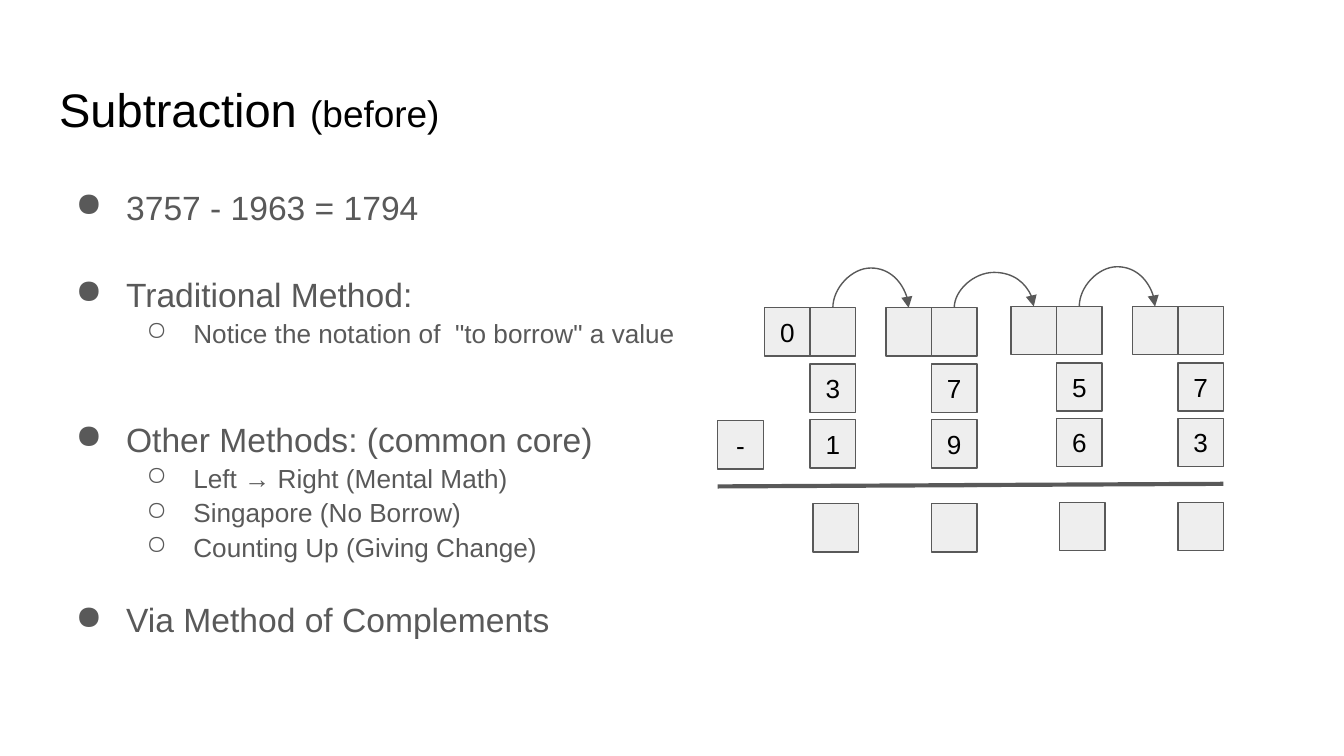
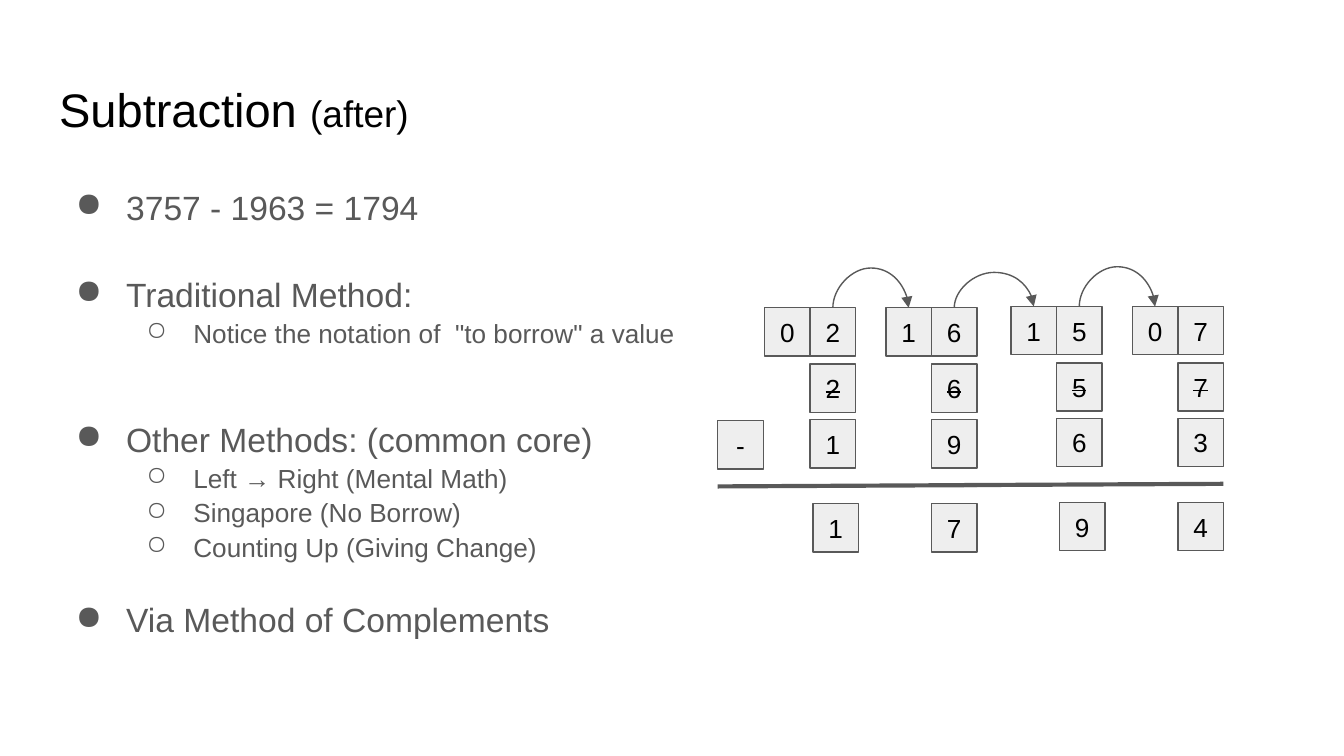
"""Build two slides showing column subtraction before and after borrowing."""
from dataclasses import dataclass
from typing import NamedTuple

import lxml.etree
import pptx
import pptx.dml.color
import pptx.enum.dml
import pptx.enum.shapes
import pptx.enum.text
import pptx.oxml.ns
import pptx.presentation
import pptx.shapes.autoshape
import pptx.shapes.connector
import pptx.slide
import pptx.text.text
import pptx.util

Pt = pptx.util.Pt
FONT = "Arial"
BLACK, GREY, PALE = "000000", "595959", "EEEEEE"
CELL_WIDTH, CELL_HEIGHT = 24.4, 25.9
DIGIT_DROP, SUBTRAHEND_DROP, RESULT_DROP = 30.2, 59.9, 105
INSET = 7.2
ARC_HEIGHT = 18.75


class Bullet(NamedTuple):
    """A bulleted line with its level and the space above it."""
    text: str
    level: int = 0
    gap: float = 0


class Level(NamedTuple):
    """Marker, indents and text size of a bullet level."""
    marker: str
    margin: float
    hanging: float
    size: float


class Place(NamedTuple):
    """Position of one digit column and the shift of its result cell."""
    left: float
    top: float
    result_shift: float


class Rule(NamedTuple):
    """Start of one half of the line above the result."""
    left: float
    top: float


@dataclass(frozen=True)
class Problem:
    """Content of one slide, digits listed by column."""
    stage: str
    borrowed: str
    reduced: str
    minuend: str
    subtrahend: str
    result: str
    struck: bool


LEVELS = (Level("●", 36, 27, 18), Level("○", 72, 25.2, 14))
BULLETS = (
    Bullet("3757 - 1963 = 1794"),
    Bullet("Traditional Method:", gap=22.75),
    Bullet("Notice the notation of  \"to borrow\" a value", 1),
    Bullet("Other Methods: (common core)", gap=35.4),
    Bullet("Left → Right (Mental Math)", 1),
    Bullet("Singapore (No Borrow)", 1),
    Bullet("Counting Up (Giving Change)", 1),
    Bullet("Via Method of Complements", gap=17.7),
)
PLACES = (
    Place(434, 164.9, 1.5), Place(499, 164.9, 0),
    Place(566, 164.2, 1.5), Place(631, 164.2, 0),
)
RULES = (Rule(384.5, 260.6), Rule(516.4, 259.9))
RULE_LENGTH, RULE_RISE = 139, 0.7
PROBLEMS = (
    Problem("(before)", "0   ", "    ", "3757", "1963", "    ", False),
    Problem("(after)", "0110", "2657", "2657", "1963", "1794", True),
)


def rgb(value: str) -> pptx.dml.color.RGBColor:
    """Turn a hex string into a colour."""
    return pptx.dml.color.RGBColor.from_string(value)


def set_font(font: pptx.text.text.Font, color: str, size: float) -> None:
    """Apply the shared typeface with a colour and size."""
    font.name, font.size = FONT, Pt(size)
    font.color.rgb = rgb(color)


def set_insets(frame: pptx.text.text.TextFrame) -> None:
    """Wrap the text and give every side the same inset."""
    frame.word_wrap = True
    frame.auto_size = pptx.enum.text.MSO_AUTO_SIZE.NONE
    frame.margin_left = frame.margin_right = Pt(INSET)
    frame.margin_top = frame.margin_bottom = Pt(INSET)


def add_child(parent: lxml.etree._Element, tag: str, **attributes: str) -> lxml.etree._Element:
    """Append a drawing element to its parent."""
    child = lxml.etree.SubElement(parent, pptx.oxml.ns.qn(tag))
    for key, value in attributes.items():
        child.set(key, value)
    return child


def add_title(slide: pptx.slide.Slide, stage: str) -> None:
    """Fill the title with the topic and the smaller stage."""
    title = slide.shapes.title
    title.left, title.top = Pt(24.5), Pt(35)
    title.width, title.height = Pt(671), Pt(45.4)
    frame = title.text_frame
    set_insets(frame)
    frame.vertical_anchor = pptx.enum.text.MSO_ANCHOR.BOTTOM
    paragraph = frame.paragraphs[0]
    paragraph.alignment = pptx.enum.text.PP_ALIGN.LEFT
    for text, size in (("Subtraction ", 25.2), (stage, 19.8)):
        run = paragraph.add_run()
        run.text = text
        set_font(run.font, BLACK, size)


def add_bullets(slide: pptx.slide.Slide) -> None:
    """Write the two-level list of methods."""
    box = slide.shapes.add_textbox(Pt(24.5), Pt(90.7), Pt(671), Pt(269.3))
    frame = box.text_frame
    set_insets(frame)
    for index, bullet in enumerate(BULLETS):
        paragraph = frame.add_paragraph() if index else frame.paragraphs[0]
        level = LEVELS[bullet.level]
        paragraph.text = bullet.text
        paragraph.level = bullet.level
        paragraph.line_spacing = 1.1
        paragraph.space_before = Pt(bullet.gap)
        properties = paragraph._p.get_or_add_pPr()
        properties.set("marL", str(Pt(level.margin)))
        properties.set("indent", str(-Pt(level.hanging)))
        add_child(add_child(properties, "a:buClr"), "a:srgbClr", val=GREY)
        add_child(properties, "a:buChar", char=level.marker)
        set_font(paragraph.font, GREY, level.size)


def add_cell(slide: pptx.slide.Slide, left: float, top: float, digit: str,
             struck: bool = False) -> pptx.shapes.autoshape.Shape:
    """Draw a cell with a digit, or empty for a space."""
    cell = slide.shapes.add_shape(
        pptx.enum.shapes.MSO_SHAPE.RECTANGLE,
        Pt(left), Pt(top), Pt(CELL_WIDTH), Pt(CELL_HEIGHT))
    cell.shadow.inherit = False
    cell.fill.solid()
    cell.fill.fore_color.rgb = rgb(PALE)
    cell.line.color.rgb = rgb(GREY)
    cell.line.width = Pt(0.75)
    if digit.strip():
        set_insets(cell.text_frame)
        cell.text_frame.vertical_anchor = pptx.enum.text.MSO_ANCHOR.MIDDLE
        paragraph = cell.text_frame.paragraphs[0]
        paragraph.alignment = pptx.enum.text.PP_ALIGN.CENTER
        run = paragraph.add_run()
        run.text = digit
        set_font(paragraph.font, BLACK, 14)
        if struck:
            run._r.get_or_add_rPr().set("strike", "sngStrike")
    return cell


def style_connector(connector: pptx.shapes.connector.Connector, weight: float) -> None:
    """Give a connector its colour and weight, without a shadow."""
    connector.line.color.rgb = rgb(GREY)
    connector.line.width = Pt(weight)
    add_child(connector._element.spPr, "a:effectLst")


def add_rule(slide: pptx.slide.Slide, rule: Rule) -> None:
    """Draw one half of the line above the result."""
    line = slide.shapes.add_connector(
        pptx.enum.shapes.MSO_CONNECTOR.STRAIGHT, Pt(rule.left), Pt(rule.top),
        Pt(rule.left + RULE_LENGTH), Pt(rule.top - RULE_RISE))
    style_connector(line, 2.25)


def add_borrow_arrow(slide: pptx.slide.Slide, lender: pptx.shapes.autoshape.Shape,
                     borrower: pptx.shapes.autoshape.Shape) -> None:
    """Arch an arrow from the top of one cell to the top of another."""
    arrow = slide.shapes.add_connector(
        pptx.enum.shapes.MSO_CONNECTOR.CURVE, lender.left, lender.top,
        borrower.left, borrower.top)
    arrow.begin_connect(lender, 0)
    arrow.end_connect(borrower, 0)
    span = borrower.left - lender.left
    rise = lender.top - borrower.top
    thickness = max(rise, Pt(0.05))
    middle_x = (lender.left + borrower.left + lender.width) // 2
    middle_y = (lender.top + borrower.top) // 2
    arrow.width, arrow.height = thickness, span
    arrow.left, arrow.top = middle_x - thickness // 2, middle_y - span // 2
    arrow.rotation = 270
    properties = arrow._element.spPr
    frame = properties.find(pptx.oxml.ns.qn("a:xfrm"))
    frame.set("flipV", "0")
    frame.set("flipH", "0" if rise else "1")
    geometry = properties.find(pptx.oxml.ns.qn("a:prstGeom"))
    for guides in list(geometry):
        geometry.remove(guides)
    bend = round(Pt(ARC_HEIGHT) / thickness * 100000) * (1 if rise else -1)
    add_child(add_child(geometry, "a:avLst"), "a:gd", name="adj1", fmla=f"val {bend}")
    style_connector(arrow, 0.75)
    add_child(arrow.line._get_or_add_ln(), "a:tailEnd", type="triangle")


def add_problem(slide: pptx.slide.Slide, problem: Problem) -> None:
    """Lay out the digit columns, the rules and the borrow arrows."""
    for rule in RULES:
        add_rule(slide, rule)
    lenders, borrowers = [], []
    for index, (left, top, shift) in enumerate(PLACES):
        borrowers.append(add_cell(slide, left - CELL_WIDTH, top, problem.borrowed[index]))
        lenders.append(add_cell(slide, left, top, problem.reduced[index]))
        add_cell(slide, left, top + DIGIT_DROP, problem.minuend[index], problem.struck)
        add_cell(slide, left, top + SUBTRAHEND_DROP, problem.subtrahend[index])
        add_cell(slide, left + shift, top + RESULT_DROP, problem.result[index])
    for lender, borrower in zip(lenders, borrowers[1:]):
        add_borrow_arrow(slide, lender, borrower)
    add_cell(slide, RULES[0].left, 225.4, "-")


def add_slide(deck: pptx.presentation.Presentation, problem: Problem) -> None:
    """Add one complete slide."""
    slide = deck.slides.add_slide(deck.slide_layouts[5])
    add_title(slide, problem.stage)
    add_bullets(slide)
    add_problem(slide, problem)


def main() -> None:
    """Build and save the deck."""
    deck = pptx.Presentation()
    deck.slide_width, deck.slide_height = Pt(720), Pt(405)
    for problem in PROBLEMS:
        add_slide(deck, problem)
    deck.save("out.pptx")


main()
